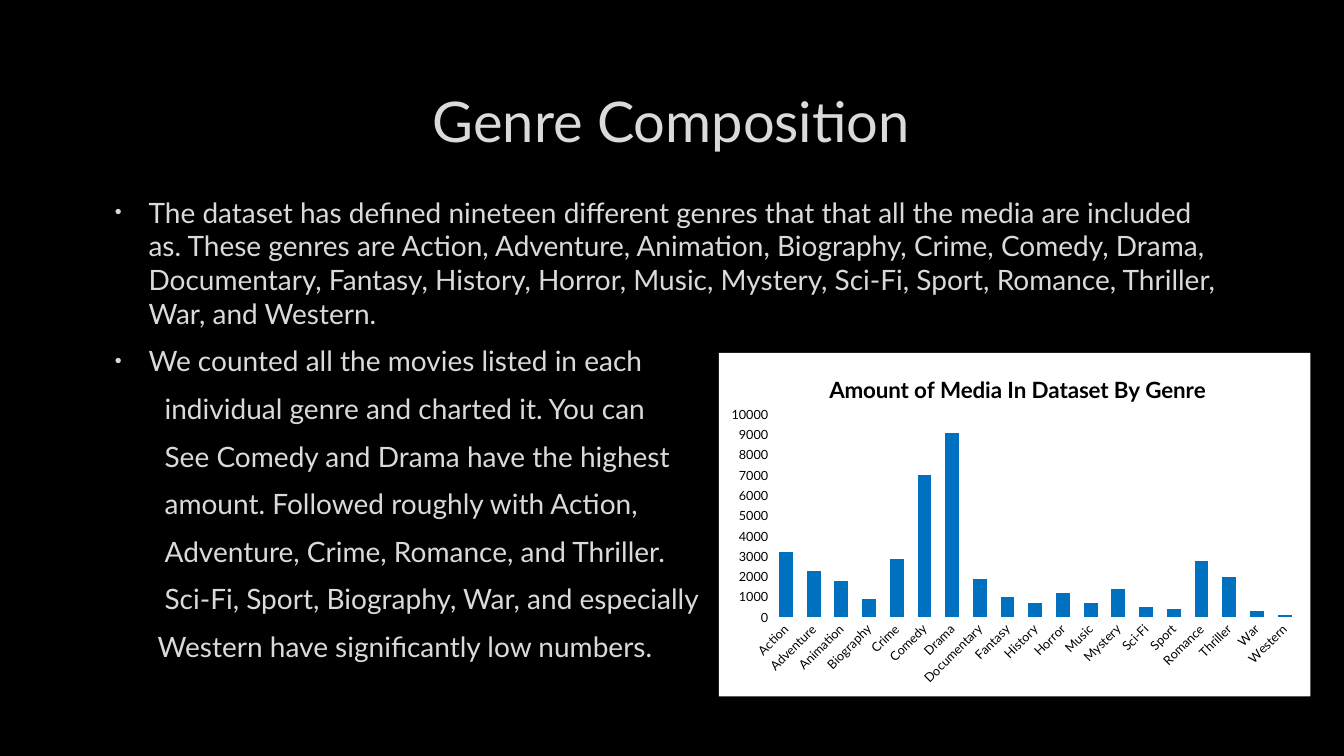
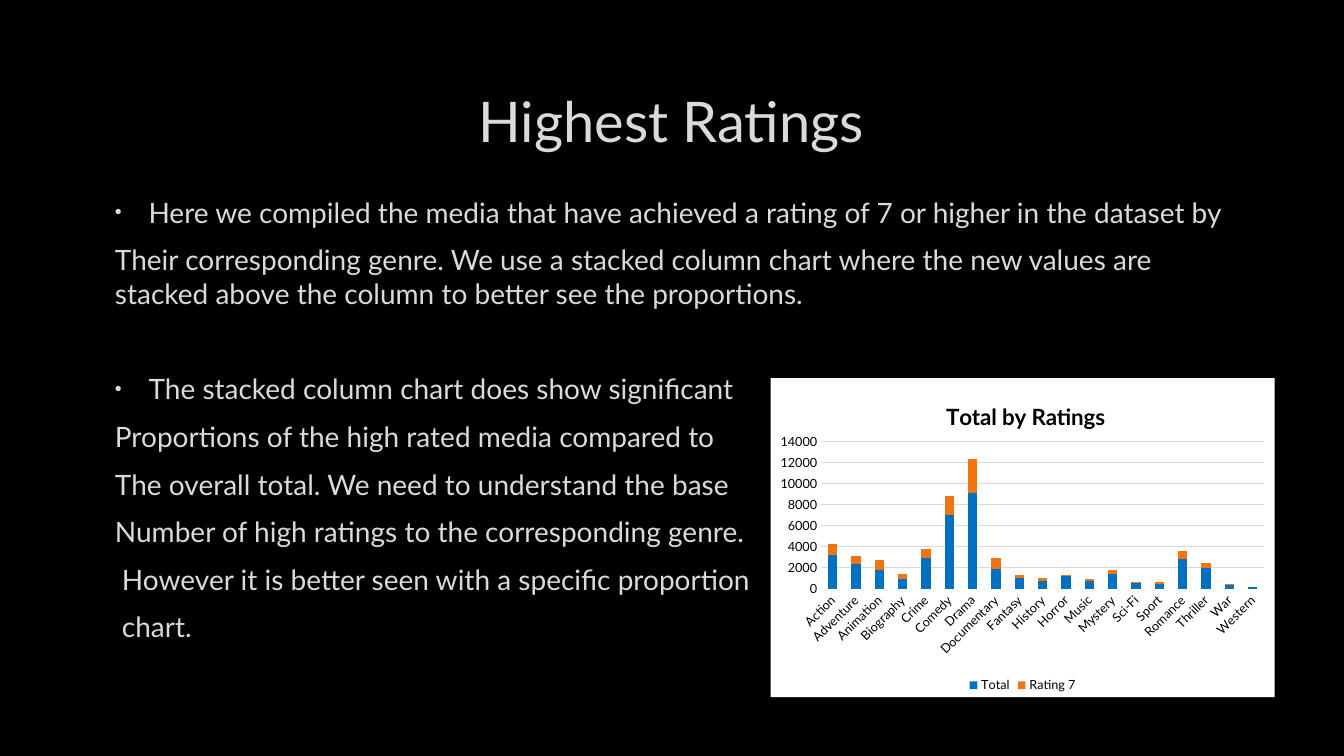
from lxml import etree
from pptx import Presentation
from pptx.chart.data import CategoryChartData
from pptx.dml.color import RGBColor
from pptx.enum import chart as ch, text as tx
from pptx.oxml import ns
from pptx.util import Pt

FONT = "Lato"
BLACK, WHITE, GREY = "000000", "FFFFFF", "DADADA"
BLUE, ORANGE = "0070C0", "F07510"
LEFT, WIDTH = 72, 815

GENRES = ["Action", "Adventure", "Animation", "Biography", "Crime", "Comedy",
          "Drama", "Documentary", "Fantasy", "History", "Horror", "Music",
          "Mystery", "Sci-Fi", "Sport", "Romance", "Thriller", "War", "Western"]
TOTALS = [3200, 2300, 1800, 900, 2900, 7000, 9100, 1900, 1000, 700,
          1200, 700, 1400, 500, 400, 2800, 2000, 300, 100]
HIGH = [1000, 800, 900, 500, 900, 1800, 3300, 1000, 300, 300,
        100, 200, 400, 100, 200, 800, 400, 100, 0]

# Paragraph styles: left margin, first-line indent, space before
BULLET = (27, -24, 4)
SPACED = (27, -24, 38)
FLUSH = (3, 0, 4)
NUDGED = (8, 0, 4)
DEEP = (38.5, 0, 4)
LAST = (33.5, 0, 4)

GENRE_TEXT = [
    (BULLET, "The dataset has defined nineteen different genres that that all the "
             "media are included as. These genres are Action, Adventure, Animation, "
             "Biography, Crime, Comedy, Drama, Documentary, Fantasy, History, Horror, "
             "Music, Mystery, Sci-Fi, Sport, Romance, Thriller, War, and Western."),
    (BULLET, "We counted all the movies listed in each"),
    (DEEP, "individual genre and charted it. You can"),
    (DEEP, "See Comedy and Drama have the highest"),
    (DEEP, "amount. Followed roughly with Action,"),
    (DEEP, "Adventure, Crime, Romance, and Thriller."),
    (DEEP, "Sci-Fi, Sport, Biography, War, and especially"),
    (LAST, "Western have significantly low numbers."),
]
RATING_TEXT = [
    (BULLET, "Here we compiled the media that have achieved a rating of 7 or higher "
             "in the dataset by"),
    (FLUSH, "Their corresponding genre. We use a stacked column chart where the new "
            "values are stacked above the column to better see the proportions."),
    (SPACED, "The stacked column chart does show significant"),
    (FLUSH, "Proportions of the high rated media compared to"),
    (FLUSH, "The overall total. We need to understand the base"),
    (FLUSH, "Number of high ratings to the corresponding genre."),
    (NUDGED, "However it is better seen with a specific proportion"),
    (NUDGED, "chart."),
]


def rgb(code):
    return RGBColor.from_string(code)


def assign(obj, **values):
    for name, value in values.items():
        setattr(obj, name, value)


def style(font, size, color, bold=False):
    assign(font, name=FONT, size=Pt(size), bold=bold)
    font.color.rgb = rgb(color)


def node(parent, tag, **attrs):
    return etree.SubElement(parent, ns.qn(tag), attrs)


def add_title(slide, words):
    title = slide.shapes.title
    assign(title, left=Pt(LEFT), top=Pt(48), width=Pt(WIDTH), height=Pt(76))
    frame = title.text_frame
    assign(frame, text=words, vertical_anchor=tx.MSO_ANCHOR.MIDDLE)
    para = frame.paragraphs[0]
    para.alignment = tx.PP_ALIGN.CENTER
    style(para.runs[0].font, 40, GREY)


def add_bullet(props):
    node(node(props, "a:buClr"), "a:srgbClr", val=GREY)
    node(props, "a:buSzPct", val="70000")
    node(props, "a:buFont", typeface="Arial")
    node(props, "a:buChar", char="•")


def add_body(slide, lines, height):
    box = slide.shapes.add_textbox(Pt(LEFT), Pt(136), Pt(WIDTH), Pt(height))
    frame = box.text_frame
    frame.word_wrap = True
    for i, ((margin, indent, before), words) in enumerate(lines):
        para = frame.add_paragraph() if i else frame.paragraphs[0]
        assign(para, space_before=Pt(before), space_after=Pt(6))
        run = para.add_run()
        run.text = words
        style(run.font, 20, GREY)
        props = para._p.get_or_add_pPr()
        props.set("marL", str(Pt(margin)))
        props.set("indent", str(Pt(indent)))
        if indent:
            add_bullet(props)


def place(part, index, **spots):
    """Give a chart part a manual layout, as fractions of the chart."""
    old = part.find(ns.qn("c:layout"))
    if old is not None:
        part.remove(old)
    layout = etree.Element(ns.qn("c:layout"))
    manual = node(layout, "c:manualLayout")
    if "w" in spots:
        node(manual, "c:layoutTarget", val="inner")
    for mode in ("c:xMode", "c:yMode"):
        node(manual, mode, val="edge")
    for key, value in spots.items():
        node(manual, "c:" + key, val=str(value))
    part.insert(index, layout)


def paint_back(chart):
    """Fill the chart area with plain white."""
    props = etree.Element(ns.qn("c:spPr"))
    node(node(props, "a:solidFill"), "a:srgbClr", val=WHITE)
    node(node(props, "a:ln"), "a:noFill")
    chart._chartSpace.find(ns.qn("c:chart")).addnext(props)


def format_axes(chart, top, step, grid):
    cat, val = chart.category_axis, chart.value_axis
    for axis in (cat, val):
        assign(axis, major_tick_mark=ch.XL_TICK_MARK.NONE,
               minor_tick_mark=ch.XL_TICK_MARK.NONE)
        style(axis.tick_labels.font, 9, BLACK)
    cat.format.line.color.rgb = rgb(WHITE)
    cat.format.line.width = Pt(1)
    body = cat._element.find(ns.qn("c:txPr")).find(ns.qn("a:bodyPr"))
    body.set("rot", "-2700000")
    assign(val, minimum_scale=0, maximum_scale=top, major_unit=step,
           has_major_gridlines=grid)
    val.format.line.fill.background()
    if grid:
        line = val.major_gridlines.format.line
        line.color.rgb = rgb(GREY)
        line.width = Pt(0.75)


def add_columns(slide, kind, box, title, series, scale, gap, overlap, spots):
    """Draw a column chart; spots holds the title and plot layouts."""
    data = CategoryChartData()
    data.categories = GENRES
    for name, values, _ in series:
        data.add_series(name, values)
    chart = slide.shapes.add_chart(kind, *map(Pt, box), data).chart
    style(chart.font, 10, BLACK)
    paint_back(chart)

    many = len(series) > 1
    assign(chart, has_title=True, has_legend=many)
    frame = chart.chart_title.text_frame
    frame.text = title
    style(frame.paragraphs[0].runs[0].font, 16, BLACK, True)
    if many:
        assign(chart.legend, position=ch.XL_LEGEND_POSITION.BOTTOM,
               include_in_layout=False)
        style(chart.legend.font, 9, BLACK)

    format_axes(chart, *scale, grid=many)
    plot = chart.plots[0]
    assign(plot, gap_width=gap, overlap=overlap, vary_by_categories=False)
    for bars, (_, _, color) in zip(plot.series, series):
        bars.format.fill.solid()
        bars.format.fill.fore_color.rgb = rgb(color)

    head, area = spots
    place(chart.chart_title._element, 1, **head)
    place(chart._chartSpace.find(".//" + ns.qn("c:plotArea")), 0, **area)


def add_slide(prs, title, lines, height):
    slide = prs.slides.add_slide(prs.slide_layouts[5])
    add_title(slide, title)
    add_body(slide, lines, height)
    return slide


def main():
    prs = Presentation()
    assign(prs, slide_width=Pt(960), slide_height=Pt(540))
    back = prs.slide_master.background.fill
    back.solid()
    back.fore_color.rgb = rgb(BLACK)

    kinds = ch.XL_CHART_TYPE
    slide = add_slide(prs, "Genre Composition", GENRE_TEXT, 385)
    add_columns(slide, kinds.COLUMN_CLUSTERED, (513.5, 252, 422.5, 245.5),
                "Amount of Media In Dataset By Genre",
                [("Series 1", TOTALS, BLUE)], (10000, 1000), 100, -24,
                (dict(x=0.18, y=0.05), dict(x=0.09, y=0.18, w=0.89, h=0.59)))

    slide = add_slide(prs, "Highest Ratings", RATING_TEXT, 349)
    add_columns(slide, kinds.COLUMN_STACKED, (550.5, 270, 360, 228),
                "Total by Ratings",
                [("Total", TOTALS, BLUE), ("Rating 7", HIGH, ORANGE)],
                (14000, 2000), 150, 100,
                (dict(x=0.34, y=0.06), dict(x=0.1, y=0.2, w=0.88, h=0.46)))
    prs.save("out.pptx")


if __name__ == "__main__":
    main()
